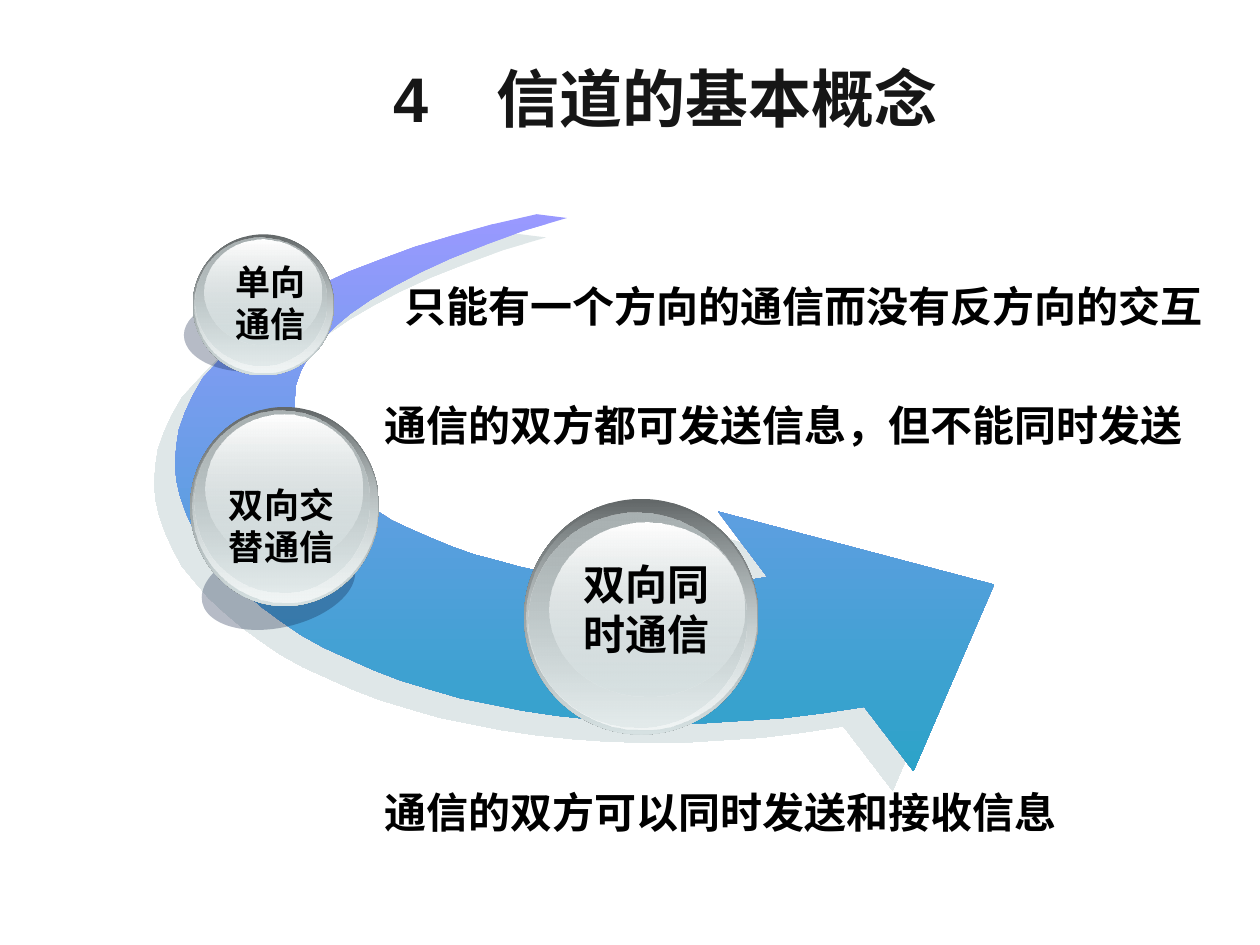
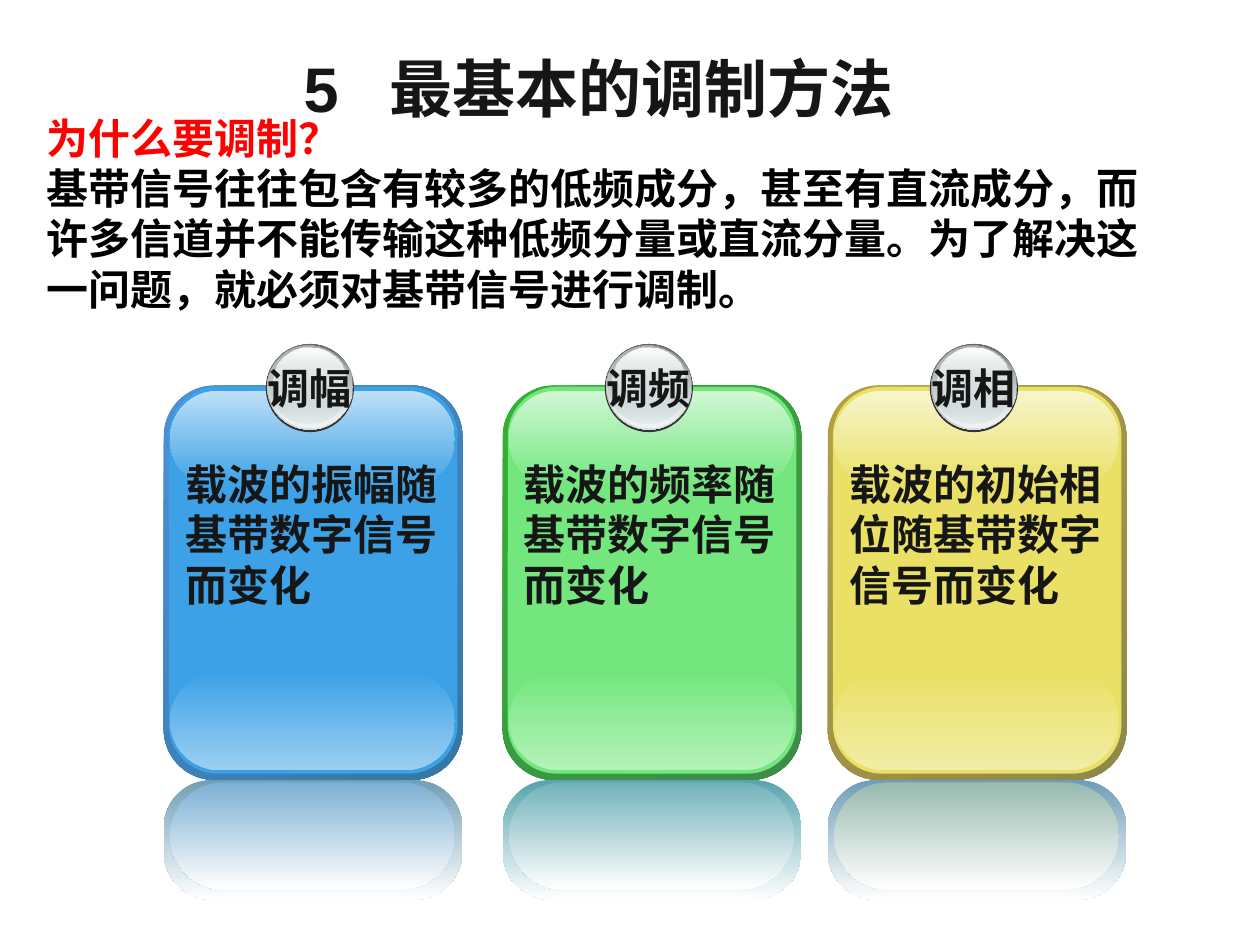
from lxml import etree
from pptx import Presentation, util as u
from pptx.dml.color import RGBColor
from pptx.enum import shapes, text
from pptx.oxml.ns import qn

FONT = "Arial"
C = {
    "title": "161616", "black": "000000", "red": "FF0000", "white": "FFFFFF",
    "steel": "636869", "silver": "D6E1E2", "pale": "F1F5F5", "grey": "AAB2B3",
    "rim": "333333", "shade": "0F2145", "arrow_top": "9999FF",
    "arrow_end": "2CA3C8", "arrow_shadow": "C1D1D3",
}
BLUE = {"edge": ("4E91D4", "3477A4"), "body": "3CA1E6", "top": "BEE0F7",
        "bottom": "9BCFF2", "mirror": "729EB4", "mirror_glow": "7DAFD4"}
GREEN = {"edge": ("34B034", "3F8B4A"), "body": "73E77E", "top": "D0F7D4",
         "bottom": "B3F2B9", "mirror": "58A4AE", "mirror_glow": "72B2BB"}
YELLOW = {"edge": ("B59F43", "8F8849"), "body": "E9E065", "top": "F8F5CC",
          "bottom": "F2EDA6", "mirror": "6F9DB7", "mirror_glow": "98BAAF"}
OVAL = shapes.MSO_SHAPE.OVAL
ROUND = shapes.MSO_SHAPE.ROUNDED_RECTANGLE
CENTER = text.PP_ALIGN.CENTER

ARROW_OUTER = [
    (4.26, 1.7), (3.91, 1.78), (3.59, 1.87), (3.29, 1.96), (3.02, 2.06),
    (2.76, 2.16), (2.53, 2.27), (2.33, 2.38), (2.14, 2.5), (1.98, 2.62),
    (1.84, 2.75), (1.72, 2.88), (1.61, 3), (1.53, 3.14), (1.47, 3.27),
    (1.42, 3.41), (1.4, 3.54), (1.39, 3.68), (1.4, 3.81), (1.43, 3.94),
    (1.48, 4.08), (1.54, 4.21), (1.61, 4.34), (1.71, 4.46), (1.82, 4.59),
    (1.94, 4.7), (2.08, 4.82), (2.23, 4.93), (2.39, 5.04), (2.57, 5.14),
    (2.77, 5.23), (2.97, 5.32), (3.18, 5.4), (3.41, 5.47), (3.65, 5.54),
    (3.9, 5.59), (4.15, 5.64), (4.42, 5.68), (4.7, 5.71), (4.98, 5.73),
    (5.28, 5.74), (5.58, 5.74), (5.89, 5.72), (6.21, 5.7), (6.53, 5.66),
    (6.86, 5.61),
]
ARROW_HEAD = [(7.25, 6.12), (7.89, 4.64), (5.7, 4.06)]
ARROW_INNER = [
    (6.09, 4.58), (5.9, 4.61), (5.71, 4.63), (5.51, 4.64), (5.12, 4.64),
    (4.91, 4.63), (4.72, 4.6), (4.52, 4.58), (4.32, 4.54), (4.13, 4.5),
    (3.95, 4.45), (3.76, 4.4), (3.59, 4.34), (3.42, 4.27), (3.26, 4.2),
    (3.11, 4.13), (2.97, 4.04), (2.84, 3.96), (2.72, 3.87), (2.62, 3.78),
    (2.53, 3.68), (2.46, 3.58), (2.4, 3.48), (2.36, 3.38), (2.34, 3.27),
    (2.34, 3.16), (2.35, 3.05), (2.39, 2.94), (2.45, 2.83), (2.54, 2.72),
    (2.65, 2.6), (2.78, 2.49), (2.94, 2.38), (3.13, 2.27), (3.34, 2.16),
    (3.58, 2.05), (3.86, 1.94), (4.16, 1.83), (4.5, 1.73),
]


def rgb(value):
    return RGBColor.from_string(value)


def paint(sp, colors, alphas=(100, 100), angle=90):
    sp.shadow.inherit = False
    sp.line.fill.background()
    if len(colors) == 1:
        sp.fill.solid()
        sp.fill.fore_color.rgb = rgb(colors[0])
    else:
        sp.fill.gradient()
        sp.fill.gradient_angle = 360 - angle
        for stop, color, position in zip(sp.fill.gradient_stops, colors, (0, 1)):
            stop.color.rgb = rgb(color)
            stop.position = position
    for clr, alpha in zip(sp._element.spPr.iter(qn("a:srgbClr")), alphas):
        if alpha < 100:
            etree.SubElement(clr, qn("a:alpha"), val=str(alpha * 1000))


def add_shape(s, kind, box, colors, alphas=(100, 100), angle=90, adj=None):
    sp = s.shapes.add_shape(kind, *map(u.Inches, box))
    if adj is not None:
        sp.adjustments[0] = adj
    paint(sp, colors, alphas, angle)
    return sp


def add_text(s, box, lines, size=24, color="black", align=None):
    sp = s.shapes.add_textbox(*map(u.Inches, box))
    tf = sp.text_frame
    tf.word_wrap = True
    for i, line in enumerate(lines):
        content, line_color = line if isinstance(line, tuple) else (line, color)
        p = tf.add_paragraph() if i else tf.paragraphs[0]
        p.alignment = align
        r = p.add_run()
        r.text = content
        r.font.name, r.font.size, r.font.bold = FONT, u.Pt(size), True
        r.font.color.rgb = rgb(C[line_color])
    return sp


def add_label(s, box, lines, size=24, color="black"):
    tf = add_text(s, box, lines, size, color, CENTER).text_frame
    tf.margin_left = tf.margin_right = 0
    tf.word_wrap = False
    tf.auto_size = text.MSO_AUTO_SIZE.SHAPE_TO_FIT_TEXT


def add_title(s, left, top, number, title, inset, tab):
    sp = add_text(s, (left, top, 8.58, 0.67), [f"{number}\t{title}"], 36, "title")
    tf = sp.text_frame
    tf.margin_left = u.Inches(inset)
    tf.vertical_anchor = text.MSO_ANCHOR.MIDDLE
    tabs = etree.Element(qn("a:tabLst"))
    etree.SubElement(tabs, qn("a:tab"), pos=str(u.Inches(tab)), algn="l")
    tf.paragraphs[0]._p.get_or_add_pPr().append(tabs)


def add_sphere(s, box, shift=(0, 0)):
    x, y, w, h = box
    dx, dy = shift
    layers = [
        ((0, 0, 1, 1), ("steel", "silver"), (100, 100)),
        ((0.01, 0.01, 0.98, 0.97), ("silver", "pale"), (0, 100)),
        ((0.02, 0.02 + dy, 0.93, 0.91), ("grey", "silver"), (100, 48)),
        ((0.08 + dx, 0.04 + dy * 1.5, 0.83, 0.74), ("white", "silver"), (100, 38)),
    ]
    for (fx, fy, fw, fh), names, alphas in layers:
        add_shape(s, OVAL, (x + fx * w, y + fy * h, fw * w, fh * h),
                  [C[n] for n in names], alphas)


def add_arrow(s):
    points = [(x * 100, y * 100) for x, y in ARROW_OUTER + ARROW_HEAD + ARROW_INNER]
    builder = s.shapes.build_freeform(*points[0], scale=u.Inches(0.01))
    builder.add_line_segments(points[1:], close=True)
    sp = builder.convert_to_shape()
    paint(sp, (C["arrow_top"], C["arrow_end"]))
    effects = sp._element.spPr.find(qn("a:effectLst"))
    shadow = etree.SubElement(effects, qn("a:outerShdw"), blurRad="0",
                              dist=str(u.Pt(16.3)), dir=str(137 * 60000),
                              algn="ctr", rotWithShape="0")
    clr = etree.SubElement(shadow, qn("a:srgbClr"), val=C["arrow_shadow"])
    etree.SubElement(clr, qn("a:alpha"), val="50000")


def add_stage(s, box, label_box, lines, size=20, shift=(0, 0), shade=None, turn=0):
    x, y = box[:2]
    if shade:
        dx, dy, w, h = shade
        sp = add_shape(s, OVAL, (x + dx, y + dy, w, h), [C["shade"]], (30,))
        sp.rotation = turn
    add_sphere(s, box, shift)
    dx, dy, w, h = label_box
    add_label(s, (x + dx, y + dy, w, h), lines, size)


def add_card(s, x, y, hue, label, body):
    panels = [
        ((0, 3.13, 2.37, 0.95), (hue["mirror"], C["white"]), 90, 0.4),
        ((0.05, 3.15, 2.26, 0.85), (hue["mirror_glow"], C["white"]), 90, 0.5),
        ((0, 0, 2.37, 3.13), hue["edge"], 45, 0.17),
        ((0.04, 0.01, 2.29, 3.07), (hue["body"],), 90, 0.17),
        ((0.05, 2.27, 2.26, 0.78), (hue["body"], hue["bottom"]), 90, 0.5),
        ((0.05, 0.04, 2.26, 0.77), (hue["top"], hue["body"]), 90, 0.5),
    ]
    for (dx, dy, w, h), colors, angle, adj in panels:
        add_shape(s, ROUND, (x + dx, y + dy, w, h), colors, angle=angle, adj=adj)
    add_shape(s, OVAL, (x + 0.81, y - 0.33, 0.7, 0.7), [C["rim"]])
    add_sphere(s, (x + 0.82, y - 0.33, 0.68, 0.68))
    add_label(s, (x + 0.73, y - 0.23, 0.86, 0.5), [label], color="title")
    add_text(s, (x + 0.07, y + 0.53, 2.25, 1.3), [body], color="title")


def channel_slide(s):
    add_arrow(s)
    add_stage(s, (4.16, 3.96, 1.86, 1.87), (0.37, 0.42, 1.2, 0.9),
              ["双向同", "时通信"], 24, (0.03, 0.04))
    add_stage(s, (1.51, 3.23, 1.5, 1.58), (0.21, 0.56, 1.03, 0.77),
              ["双向交", "替通信"], shade=(0.08, 1.08, 1.24, 0.67), turn=347)
    add_stage(s, (1.53, 1.86, 1.12, 1.12), (0.24, 0.16, 0.75, 0.77),
              ["单向", "通信"], shade=(-0.07, 0.51, 1, 0.58))
    for x, y, w, line in [
        (3.11, 2.18, 6.62, "只能有一个方向的通信而没有反方向的交互"),
        (2.95, 3.12, 7.05, "通信的双方都可发送信息，但不能同时发送"),
        (2.95, 6.19, 5.69, "通信的双方可以同时发送和接收信息"),
    ]:
        add_text(s, (x, y, w, 0.5), [line])
    add_title(s, 0.98, 0.44, "4", "信道的基本概念", 2.14, 0.82)


def modulation_slide(s):
    add_title(s, 0.51, 0.36, "5", "最基本的调制方法", 1.9, 0.68)
    for x, hue, label, body in [
        (1.3, BLUE, "调幅", "载波的振幅随基带数字信号而变化"),
        (3.99, GREEN, "调频", "载波的频率随基带数字信号而变化"),
        (6.57, YELLOW, "调相", "载波的初始相位随基带数字信号而变化"),
    ]:
        add_card(s, x, 3.06, hue, label, body)
    add_text(s, (0.27, 0.84, 9.06, 1.7), [
        ("为什么要调制？", "red"),
        "基带信号往往包含有较多的低频成分，甚至有直流成分，而许多信道并不能传输"
        "这种低频分量或直流分量。为了解决这一问题，就必须对基带信号进行调制。",
    ])


def main():
    prs = Presentation()
    prs.slide_width, prs.slide_height = u.Inches(10), u.Inches(7.5)
    for build in (channel_slide, modulation_slide):
        build(prs.slides.add_slide(prs.slide_layouts[6]))
    prs.save("out.pptx")


if __name__ == "__main__":
    main()
